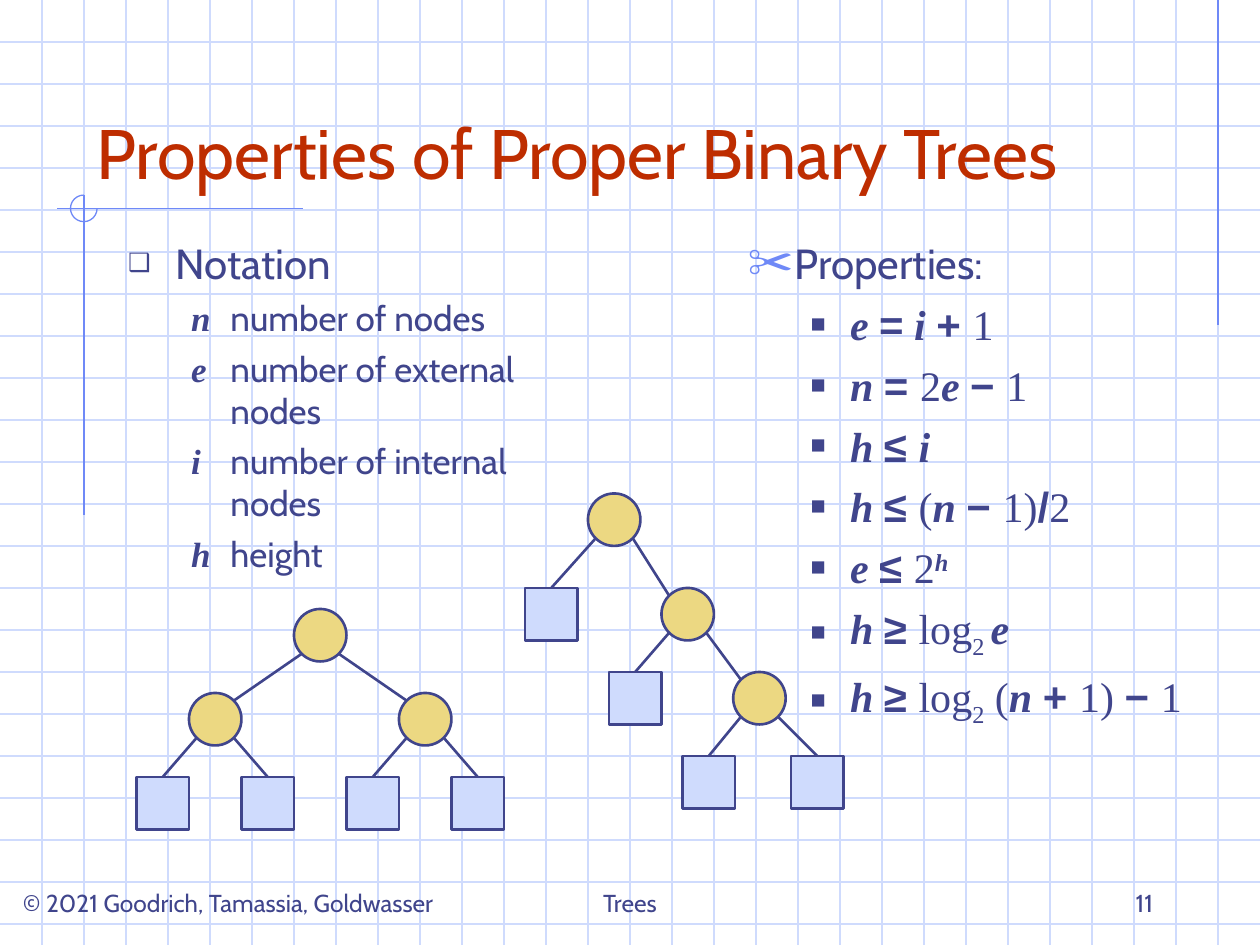
from dataclasses import dataclass
from math import sqrt
from typing import NamedTuple

from lxml.etree import SubElement
from pptx import Presentation
from pptx.dml.color import RGBColor
from pptx.enum.shapes import MSO_CONNECTOR, MSO_SHAPE
from pptx.enum.text import MSO_ANCHOR, MSO_AUTO_SIZE, PP_ALIGN
from pptx.oxml.ns import qn
from pptx.util import Pt

INK, GRID, BLUE, GOLD, RED = "40458C", "CFDBFD", "6F89F7", "ECD882", "BE2D00"
WIDE, HIGH, STEP, SIZE = 720, 540, 24, 30
SERIF = "Times New Roman"


class Style(NamedTuple):
    font: str
    bold: bool = False
    slant: bool = False
    shift: int = 0


TEXT = Style("Cabin")
VAR = Style(SERIF, True, True)
OPER = Style("Arial", True)
NUM = Style(SERIF)
SUP = Style(SERIF, True, True, 30000)
SUB = Style(SERIF, shift=-25000)


class Mark(NamedTuple):
    char: str
    color: str
    scale: int


class Line(NamedTuple):
    runs: list
    size: int = 24
    level: int = 0
    mark: Mark | None = None
    gap: int = 6


@dataclass
class Node:
    x: float
    y: float
    kids: tuple = ()


@dataclass
class Foot:
    text: str
    left: float
    width: float
    align: PP_ALIGN


def paint(code: str) -> RGBColor:
    return RGBColor.from_string(code)


def place(shape, left: float, top: float, width: float, height: float) -> None:
    shape.left, shape.top = Pt(left), Pt(top)
    shape.width, shape.height = Pt(width), Pt(height)


def link(x: float, y: float, to_x: float, to_y: float, color: str, weight: float = 0.75) -> None:
    line = shapes.add_connector(MSO_CONNECTOR.STRAIGHT, Pt(x), Pt(y), Pt(to_x), Pt(to_y))
    line.line.color.rgb = paint(color)
    line.line.width = Pt(weight)
    SubElement(line._element.spPr, qn("a:effectLst"))


def write(par, text: str, style: Style, size: int, color: str = INK) -> None:
    run = par.add_run()
    run.text = text
    font = run.font
    font.name, font.size = style.font, Pt(size)
    font.bold, font.italic = style.bold, style.slant
    font.color.rgb = paint(color)
    if style.shift:
        run._r.get_or_add_rPr().set("baseline", str(style.shift))


def bullet(par, level: int, mark: Mark | None) -> None:
    prop = par._p.get_or_add_pPr()
    left, hang = (58.5, 22.5) if level else (27, 27)
    prop.set("marL", str(Pt(left)))
    prop.set("indent", str(-Pt(hang)))
    if mark is None:
        SubElement(prop, qn("a:buNone"))
        return
    tint = SubElement(prop, qn("a:buClr"))
    SubElement(tint, qn("a:srgbClr"), val=mark.color)
    SubElement(prop, qn("a:buSzPct"), val=str(mark.scale * 1000))
    SubElement(prop, qn("a:buFont"), typeface="Arial")
    SubElement(prop, qn("a:buChar"), char=mark.char)


def fill(frame, lines: list[Line]) -> None:
    frame.word_wrap = True
    frame.auto_size = MSO_AUTO_SIZE.NONE
    for spot, line in enumerate(lines):
        par = frame.add_paragraph() if spot else frame.paragraphs[0]
        par.level = line.level
        par.space_before = Pt(line.gap)
        bullet(par, line.level, line.mark)
        for text, style in line.runs:
            write(par, text, style, line.size)


def draw(node: Node) -> None:
    kind = MSO_SHAPE.OVAL if node.kids else MSO_SHAPE.RECTANGLE
    shape = shapes.add_shape(kind, Pt(node.x), Pt(node.y), Pt(SIZE), Pt(SIZE))
    shape.shadow.inherit = False
    shape.fill.solid()
    shape.fill.fore_color.rgb = paint(GOLD if node.kids else GRID)
    shape.line.color.rgb = paint(INK)
    shape.line.width = Pt(1.5)
    half = SIZE / 2
    diag = half / sqrt(2)
    for side, kid in zip((-1, 1), node.kids):
        draw(kid)
        end_x, end_y = kid.x + half, kid.y
        if kid.kids:
            end_x, end_y = end_x - side * diag, end_y + half - diag
        link(node.x + half + side * diag, node.y + half + diag, end_x, end_y, INK, 1.5)


deck = Presentation()
deck.slide_width, deck.slide_height = Pt(WIDE), Pt(HIGH)
slide = deck.slides.add_slide(deck.slide_layouts[3])
shapes = slide.shapes
title, notes, props = slide.placeholders

for y in range(STEP, HIGH, STEP):
    link(0, y, WIDE, y, GRID)
for x in range(STEP, WIDE, STEP):
    link(x, 0, x, HIGH, GRID)
link(696, 0, 696, 186, BLUE)
link(173, 119.2, 32.5, 119.2, BLUE)
link(48, 111.5, 48, 294.5, BLUE)
arc = shapes.add_shape(MSO_SHAPE.ARC, Pt(40.3), Pt(111.5), Pt(15.2), Pt(15.2))
arc.adjustments[0], arc.adjustments[1] = 0, 162
arc.shadow.inherit = False
arc.fill.background()
arc.line.color.rgb = paint(BLUE)
arc.line.width = Pt(0.75)

for part in (title, notes, props):
    shapes._spTree.append(part._element)
place(title, 48, 24, 612, 90)
place(notes, 66, 132, 240, 204)
place(props, 420, 132, 270, 288)

head = title.text_frame
head.word_wrap = True
head.auto_size = MSO_AUTO_SIZE.NONE
head.vertical_anchor = MSO_ANCHOR.BOTTOM
head.paragraphs[0].alignment = PP_ALIGN.LEFT
write(head.paragraphs[0], "Properties of Proper Binary Trees", TEXT, 40, RED)

terms = {"n": "number of nodes", "e": "number of external nodes",
         "i": "number of internal nodes", "h": "height"}
fill(notes.text_frame, [Line([("Notation", TEXT)], mark=Mark("❑", INK, 60))] + [
    Line([(f"{name}\t", VAR), (mean, TEXT)], 20, 1, gap=5) for name, mean in terms.items()])

rules = [
    [("e ", VAR), ("=", OPER), (" i ", VAR), ("+ ", OPER), ("1", NUM)],
    [("n ", VAR), ("= ", OPER), ("2", NUM), ("e ", VAR), ("− ", OPER), ("1", NUM)],
    [("h ", VAR), ("≤ ", OPER), ("i", VAR)],
    [("h ", VAR), ("≤ ", OPER), ("(", NUM), ("n ", VAR), ("− ", OPER), ("1)", NUM),
     ("/", OPER), ("2", NUM)],
    [("e ", VAR), ("≤ ", OPER), ("2", NUM), ("h", SUP)],
    [("h ", VAR), ("≥ ", OPER), ("log", NUM), ("2 ", SUB), ("e", VAR)],
    [("h ", VAR), ("≥ ", OPER), ("log", NUM), ("2", SUB), (" (", NUM), ("n ", VAR),
     ("+ ", OPER), ("1) ", NUM), ("− ", OPER), ("1", NUM)],
]
fill(props.text_frame, [Line([("Properties:", TEXT)], mark=Mark("✂", BLUE, 110))] + [
    Line(rule, level=1, mark=Mark("■", INK, 60)) for rule in rules])

draw(Node(168, 348, (
    Node(108, 396, (Node(78, 444), Node(138, 444))),
    Node(228, 396, (Node(198, 444), Node(258, 444))))))
draw(Node(336, 282, (
    Node(300, 336),
    Node(378, 336, (
        Node(348, 384),
        Node(419, 384, (Node(390, 432), Node(452, 432))))))))

for foot in (Foot("© 2021 Goodrich, Tamassia, Goldwasser", 6, 282, PP_ALIGN.LEFT),
             Foot("Trees", 246, 228, PP_ALIGN.CENTER),
             Foot("11", 516, 150, PP_ALIGN.RIGHT)):
    box = shapes.add_textbox(Pt(foot.left), Pt(492), Pt(foot.width), Pt(36)).text_frame
    box.word_wrap = True
    box.vertical_anchor = MSO_ANCHOR.BOTTOM
    box.paragraphs[0].alignment = foot.align
    write(box.paragraphs[0], foot.text, TEXT, 14)

deck.save("out.pptx")
